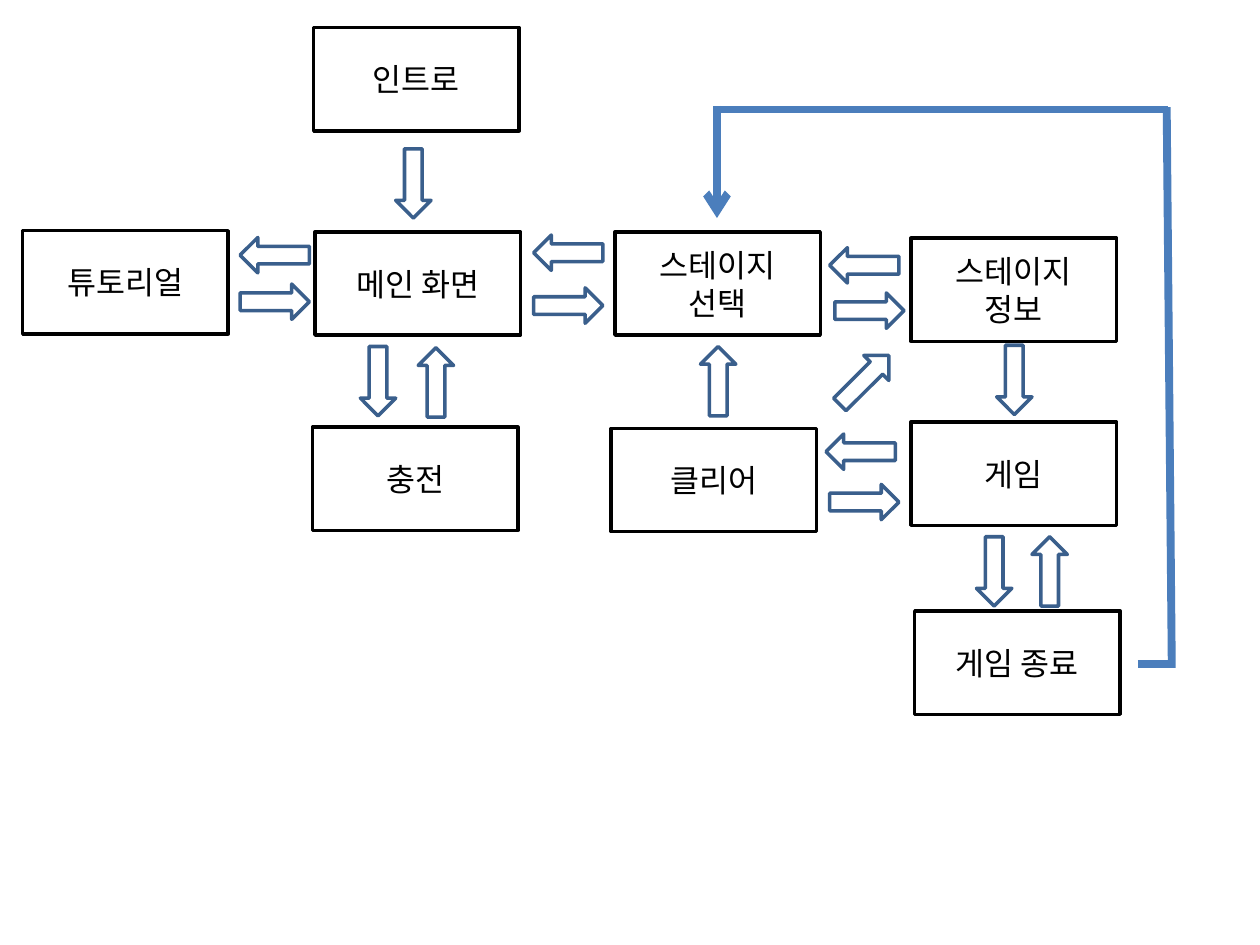
import pptx
import pptx.dml.color
import pptx.enum.shapes
import pptx.enum.text
import pptx.oxml.ns
import pptx.util
from lxml import etree

Pt = pptx.util.Pt
qn = pptx.oxml.ns.qn
SHAPE = pptx.enum.shapes.MSO_SHAPE
ANCHOR = pptx.enum.text.MSO_ANCHOR

COLORS = {"paper": "FFFFFF", "ink": "000000", "arrow": "3A5F8C", "loop": "4B7EBC"}
FONT = "Noto Sans CJK KR"
BOX_W, BOX_H = 117.4, 59
ARROW_W, ARROW_H = 20.2, 39.6

INTRO = (179.3, 15.8, "인트로")
SCREENS = [
    (180, 132.5, "메인 화면"),
    (178.6, 244.1, "충전"),
    (351.4, 132.5, "스테이지\n선택"),
    (520.6, 136.1, "스테이지\n정보"),
    (520.6, 241.2, "게임"),
    (349.2, 244.8, "클리어"),
    (522.7, 349.2, "게임 종료"),
    (13, 131.8, "튜토리얼"),
]
ARROW_CENTERS = {
    0: [(236.2, 104.8), (216, 217.8), (579.6, 217.1), (568.1, 326.5)],
    90: [(493.9, 151.6), (491.8, 258.1), (324.7, 144.4), (157, 145.8)],
    180: [(249.1, 218.5), (410.4, 217.8), (599.8, 326.5)],
    225: [(493.9, 217.1)],
    270: [(496.8, 177.5), (324.7, 174.6), (157, 172.4), (493.9, 286.9)],
}
LOOP = [
    (650.2, 379.4, 670.3, 379.4),
    (669.6, 381.6, 666.7, 61.2),
    (667.4, 62.6, 409.7, 62.6),
    (409.7, 60.5, 409.7, 124.6),
]


def rgb(name):
    return pptx.dml.color.RGBColor.from_string(COLORS[name])


def add_outlined(slide, kind, x, y, w, h, line):
    sp = slide.shapes.add_shape(kind, Pt(x), Pt(y), Pt(w), Pt(h))
    sp.shadow.inherit = False
    sp.fill.solid()
    sp.fill.fore_color.rgb = rgb("paper")
    sp.line.color.rgb = rgb(line)
    sp.line.width = Pt(2)
    return sp


def write_label(sp, text):
    tf = sp.text_frame
    tf.word_wrap = True
    tf.vertical_anchor = ANCHOR.MIDDLE
    tf.text = text
    for p in tf.paragraphs:
        p.alignment = pptx.enum.text.PP_ALIGN.CENTER
        p.font.size = Pt(18)
        p.font.color.rgb = rgb("ink")
        for r in p.runs:
            r.font.name = FONT
            etree.SubElement(r.font._element, qn("a:ea"), typeface=FONT)


def add_screen(slide, x, y, text):
    write_label(add_outlined(slide, SHAPE.RECTANGLE, x, y, BOX_W, BOX_H, "ink"), text)


def add_intro(slide, x, y, text):
    add_outlined(slide, SHAPE.RECTANGLE, x, y, BOX_W, BOX_H, "ink")
    h = 29
    tb = slide.shapes.add_textbox(Pt(x), Pt(y + (BOX_H - h) / 2), Pt(BOX_W), Pt(h))
    write_label(tb, text)
    tb.text_frame.vertical_anchor = ANCHOR.TOP
    tb.text_frame.auto_size = pptx.enum.text.MSO_AUTO_SIZE.SHAPE_TO_FIT_TEXT


def add_arrow(slide, cx, cy, angle):
    sp = add_outlined(slide, SHAPE.DOWN_ARROW, cx - ARROW_W / 2, cy - ARROW_H / 2,
                      ARROW_W, ARROW_H, "arrow")
    sp.rotation = angle


def add_loop(slide, segments):
    for segment in segments:
        cn = slide.shapes.add_connector(
            pptx.enum.shapes.MSO_CONNECTOR.STRAIGHT, *[Pt(v) for v in segment])
        cn.line.color.rgb = rgb("loop")
        cn.line.width = Pt(4.5)
        etree.SubElement(cn._element.spPr, qn("a:effectLst"))
    etree.SubElement(cn.line._get_or_add_ln(), qn("a:tailEnd"), type="arrow")


def main():
    prs = pptx.Presentation()
    prs.slide_width, prs.slide_height = Pt(720), Pt(540)
    slide = prs.slides.add_slide(prs.slide_layouts[6])
    add_intro(slide, *INTRO)
    for screen in SCREENS:
        add_screen(slide, *screen)
    for angle, centers in ARROW_CENTERS.items():
        for cx, cy in centers:
            add_arrow(slide, cx, cy, angle)
    add_loop(slide, LOOP)
    prs.save("out.pptx")


if __name__ == "__main__":
    main()
